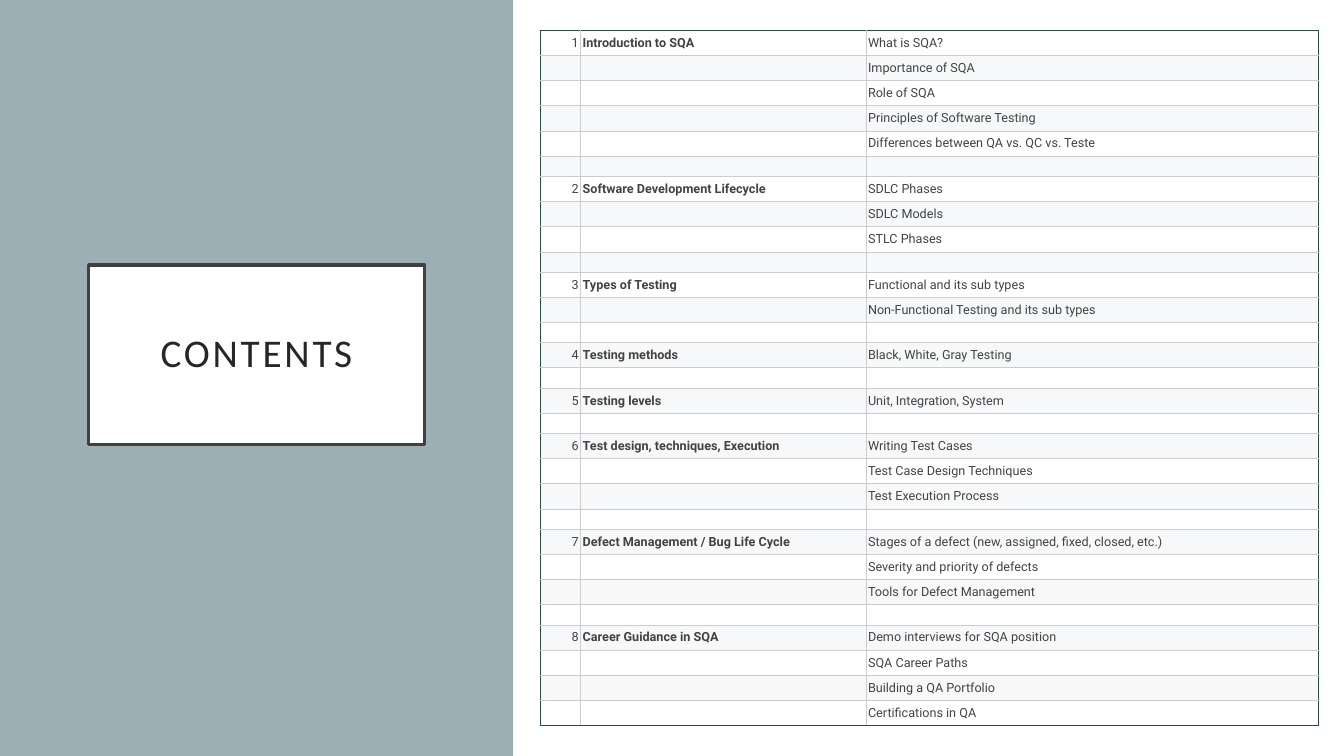
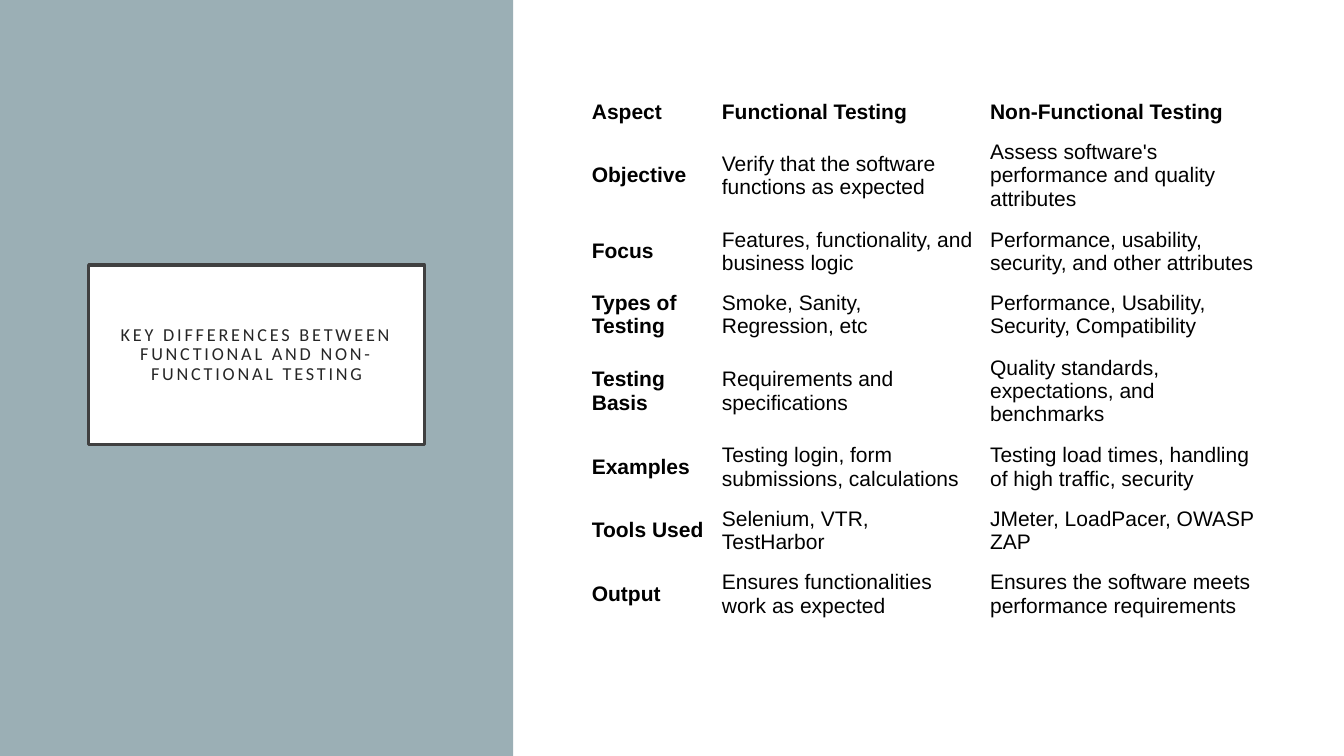
from lxml import etree
from pptx import Presentation
from pptx import util as u
from pptx.dml.color import RGBColor
from pptx.enum import shapes, text
from pptx.oxml import ns

WHITE, PANEL, PLATE_LINE, TITLE_INK = "FFFFFF", "9BAFB5", "404040", "262626"
BAND, GRID, FRAME, CONTENTS_INK, BLACK = "F6F8F9", "CCCCCC", "284E3F", "434343", "000000"

SLIDE_SIZE = (13.33, 7.5)
PANEL_BOX = (0, 0, 5.09, 7.5)
PLATE_BOX = (0.88, 2.63, 3.33, 1.78)

CONTENTS = [
    ("Introduction to SQA", [
        "What is SQA?", "Importance of SQA", "Role of SQA",
        "Principles of Software Testing", "Differences between QA vs. QC vs. Teste"]),
    ("Software Development Lifecycle", ["SDLC Phases", "SDLC Models", "STLC Phases"]),
    ("Types of Testing", [
        "Functional and its sub types", "Non-Functional Testing and its sub types"]),
    ("Testing methods", ["Black, White, Gray Testing"]),
    ("Testing levels", ["Unit, Integration, System"]),
    ("Test design, techniques, Execution", [
        "Writing Test Cases", "Test Case Design Techniques", "Test Execution Process"]),
    ("Defect Management / Bug Life Cycle", [
        "Stages of a defect (new, assigned, fixed, closed, etc.)",
        "Severity and priority of defects", "Tools for Defect Management"]),
    ("Career Guidance in SQA", [
        "Demo interviews for SQA position", "SQA Career Paths",
        "Building a QA Portfolio", "Certifications in QA"]),
]

DIFFERENCES = [
    ("Aspect", "Functional Testing", "Non-Functional Testing"),
    ("Objective", "Verify that the software functions as expected",
     "Assess software's performance and quality attributes"),
    ("Focus", "Features, functionality, and business logic",
     "Performance, usability, security, and other attributes"),
    ("Types of Testing", "Smoke, Sanity, Regression, etc",
     "Performance, Usability, Security, Compatibility"),
    ("Testing Basis", "Requirements and specifications",
     "Quality standards, expectations, and benchmarks"),
    ("Examples", "Testing login, form submissions, calculations",
     "Testing load times, handling of high traffic, security"),
    ("Tools Used", "Selenium, VTR, TestHarbor", "JMeter, LoadPacer, OWASP ZAP"),
    ("Output", "Ensures functionalities work as expected",
     "Ensures the software meets performance requirements"),
]


def color(value):
    return RGBColor.from_string(value)


def set_margins(target, across, down):
    target.margin_left = target.margin_right = u.Inches(across)
    target.margin_top = target.margin_bottom = u.Inches(down)


def add_span(para, words, font, size, ink, bold=False):
    span = para.add_run()
    span.text = words
    span.font.name = font
    span.font.size = u.Pt(size)
    span.font.bold = bold
    span.font.color.rgb = color(ink)
    return span


def add_rectangle(page, box, fill):
    shape = page.shapes.add_shape(shapes.MSO_SHAPE.RECTANGLE, *map(u.Inches, box))
    shape.shadow.inherit = False
    shape.fill.solid()
    shape.fill.fore_color.rgb = color(fill)
    shape.line.fill.background()
    return shape


def add_title_panel(page, title, size):
    add_rectangle(page, PANEL_BOX, PANEL)
    plate = add_rectangle(page, PLATE_BOX, WHITE)
    plate.line.color.rgb = color(PLATE_LINE)
    plate.line.width = u.Pt(2.5)
    frame = plate.text_frame
    frame.word_wrap = True
    frame.vertical_anchor = text.MSO_ANCHOR.MIDDLE
    set_margins(frame, 0.3, 0.2)
    para = frame.paragraphs[0]
    para.alignment = text.PP_ALIGN.CENTER
    para.line_spacing = 0.9
    span = add_span(para, title, "Calibri", size, TITLE_INK)
    span.font._element.set("spc", "200")


def add_grid(page, corner, widths, heights):
    box = (*corner, sum(widths), sum(heights))
    table = page.shapes.add_table(len(heights), len(widths), *map(u.Inches, box)).table
    table.first_row = table.horz_banding = False
    for column, width in zip(table.columns, widths):
        column.width = u.Inches(width)
    for row, height in zip(table.rows, heights):
        row.height = u.Inches(height)
    return table


def add_cell(table, row, column, words, margins, style):
    cell = table.cell(row, column)
    cell.vertical_anchor = text.MSO_ANCHOR.MIDDLE
    set_margins(cell, *margins)
    para = cell.text_frame.paragraphs[0]
    if words:
        add_span(para, words, **style)
    else:
        end = etree.SubElement(para._p, ns.qn("a:endParaRPr"))
        end.set("sz", str(style["size"] * 100))
    return cell


def add_borders(cell, **sides):
    properties = cell._tc.get_or_add_tcPr()
    for side in "LRTB":
        line = etree.SubElement(properties, ns.qn("a:ln" + side), w=str(u.Pt(0.75)))
        fill = etree.SubElement(line, ns.qn("a:solidFill"))
        etree.SubElement(fill, ns.qn("a:srgbClr"), val=sides[side])


def contents_rows():
    rows = []
    for number, (heading, topics) in enumerate(CONTENTS, 1):
        if rows:
            rows.append(("", "", ""))
        rows.append((str(number), heading, topics[0]))
        rows.extend(("", "", topic) for topic in topics[1:])
    return rows


def add_contents_table(page, corner):
    rows = contents_rows()
    widths = (0.4, 2.83, 4.49)
    table = add_grid(page, corner, widths, [0.25 if any(row) else 0.2 for row in rows])
    last_row, last_column = len(rows) - 1, len(widths) - 1
    for r, row in enumerate(rows):
        for c, words in enumerate(row):
            style = dict(font="Roboto", size=9, ink=CONTENTS_INK, bold=c == 1)
            cell = add_cell(table, r, c, words, (0.02, 0.01), style)
            if c == 0:
                cell.text_frame.paragraphs[0].alignment = text.PP_ALIGN.RIGHT
            add_borders(
                cell,
                L=FRAME if c == 0 else GRID,
                R=FRAME if c == last_column else GRID,
                T=FRAME if r == 0 else GRID,
                B=FRAME if r == last_row else GRID,
            )
            cell.fill.solid()
            cell.fill.fore_color.rgb = color(BAND if r % 2 else WHITE)


def add_differences_table(page, corner):
    heights = (0.38, 0.88, 0.63, 0.63, 0.88, 0.63, 0.63, 0.63)
    table = add_grid(page, corner, (1.29, 2.66, 2.9), heights)
    for r, row in enumerate(DIFFERENCES):
        for c, words in enumerate(row):
            style = dict(font="Arial", size=15, ink=BLACK, bold=r == 0 or c == 0)
            add_cell(table, r, c, words, (0.08, 0.04), style).fill.background()


def main():
    deck = Presentation()
    deck.slide_width, deck.slide_height = map(u.Inches, SLIDE_SIZE)
    blank = deck.slide_layouts[6]

    page = deck.slides.add_slide(blank)
    add_title_panel(page, "CONTENTS", 28)
    add_contents_table(page, (5.36, 0.3))

    page = deck.slides.add_slide(blank)
    add_title_panel(page, "KEY DIFFERENCES BETWEEN FUNCTIONAL AND NON-FUNCTIONAL TESTING", 13)
    add_differences_table(page, (5.79, 0.92))

    deck.save("out.pptx")


if __name__ == "__main__":
    main()
